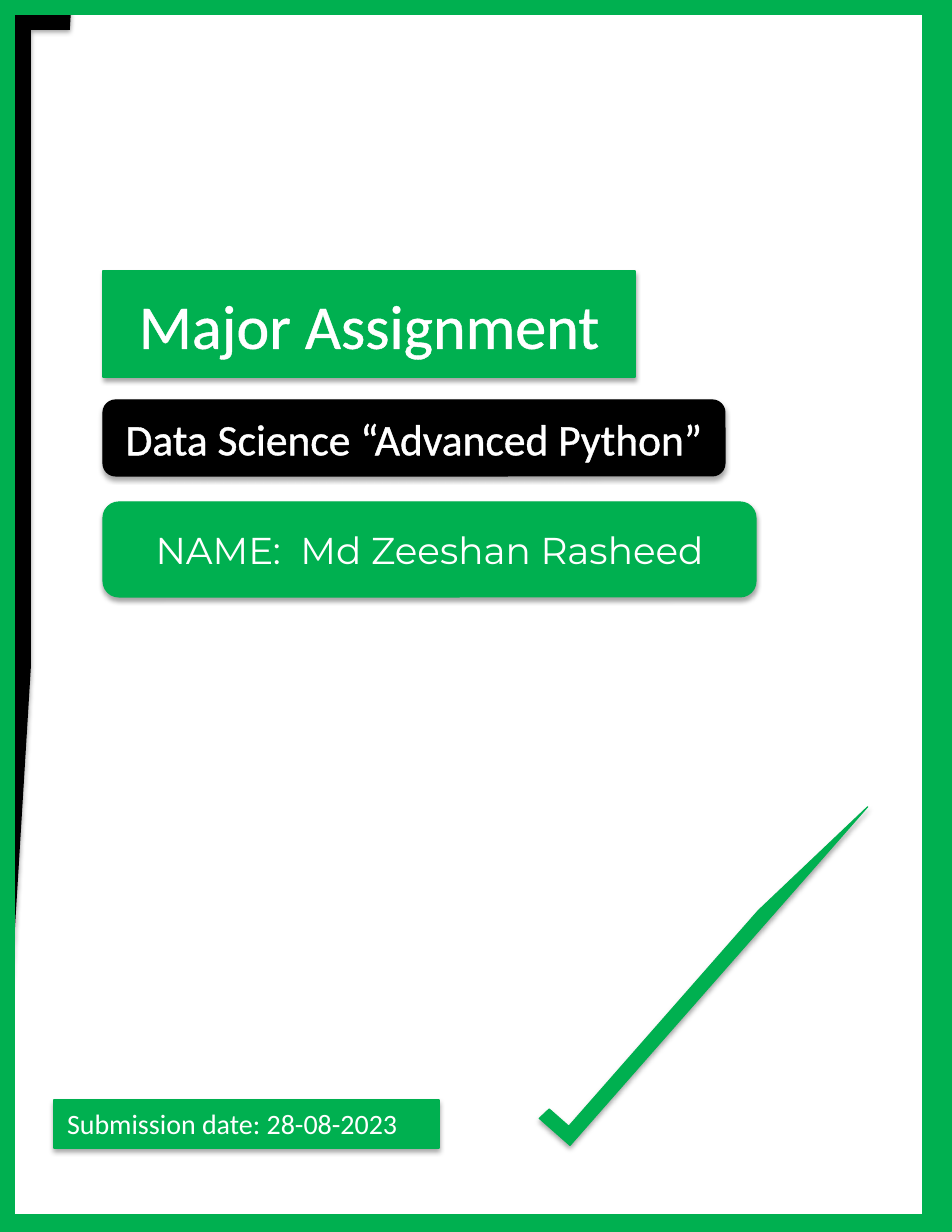
import dataclasses
import typing

import pptx
import pptx.dml.color
import pptx.enum.shapes
import pptx.enum.text
import pptx.oxml
import pptx.oxml.ns
import pptx.util

EMU_PER_PIXEL = 914400 / 112
GREEN = "00B050"
BLACK = "000000"
WHITE = "FFFFFF"
Preset = pptx.enum.shapes.MSO_SHAPE
Align = pptx.enum.text.PP_ALIGN
Anchor = pptx.enum.text.MSO_ANCHOR
AutoSize = pptx.enum.text.MSO_AUTO_SIZE


@dataclasses.dataclass(frozen=True)
class Label:
    text: str
    size: int
    font: str = "Calibri"
    outlined: bool = False
    centred: bool = True
    is_title: bool = False


@dataclasses.dataclass(frozen=True)
class Panel:
    preset: Preset
    left: int
    top: int
    width: int
    height: int
    fill: typing.Optional[str] = GREEN
    line: typing.Optional[str] = GREEN
    line_points: float = 0.75
    rotation: float = 0
    label: typing.Optional[Label] = None


PANELS = [
    Panel(Preset.ROUNDED_RECTANGLE, 103, 400, 622, 76, BLACK, BLACK,
          label=Label("Data Science “Advanced Python”", 28, outlined=True)),
    Panel(Preset.HALF_FRAME, 11, 10, 60, 983, BLACK, None),
    Panel(Preset.HALF_FRAME, 683, 737, 41, 451, rotation=221.3),
    Panel(Preset.ROUNDED_RECTANGLE, 103, 502, 653, 95,
          label=Label("NAME:  Md Zeeshan Rasheed", 24, "Montserrat")),
    Panel(Preset.ROUNDED_RECTANGLE, 103, 271, 532, 106,
          label=Label("Major Assignment", 40, outlined=True, is_title=True)),
    Panel(Preset.RECTANGLE, 54, 1100, 385, 48,
          label=Label("Submission date: 28-08-2023", 18, centred=False)),
    Panel(Preset.RECTANGLE, 0, 0, 937, 1229, None, GREEN, 19.5),
]


def pixels(count: int) -> int:
    return round(count * EMU_PER_PIXEL)


def colour(value: str) -> pptx.dml.color.RGBColor:
    return pptx.dml.color.RGBColor.from_string(value)


def outline_run(run, value: str, points: float) -> None:
    namespace = pptx.oxml.ns.nsdecls("a")
    width = round(points * 12700)
    outline = pptx.oxml.parse_xml(
        f'<a:ln {namespace} w="{width}"><a:solidFill>'
        f'<a:srgbClr val="{value}"/></a:solidFill></a:ln>'
    )
    run._r.get_or_add_rPr().insert(0, outline)


def write_label(shape, label: Label) -> None:
    frame = shape.text_frame
    frame.word_wrap = True
    frame.auto_size = AutoSize.NONE if label.centred else AutoSize.SHAPE_TO_FIT_TEXT
    frame.vertical_anchor = Anchor.MIDDLE if label.centred else Anchor.TOP
    frame.margin_left = frame.margin_right = pixels(13)
    frame.margin_top = frame.margin_bottom = pixels(7)
    paragraph = frame.paragraphs[0]
    paragraph.alignment = Align.CENTER if label.centred else Align.LEFT
    paragraph.font.name = label.font
    paragraph.font.size = pptx.util.Pt(label.size)
    paragraph.font.color.rgb = colour(WHITE)
    run = paragraph.add_run()
    run.text = label.text
    if label.outlined:
        outline_run(run, WHITE, 1.45)


def turn_into_title(slide, shape) -> None:
    title = slide.shapes.title._element
    shape._element.replace(shape._element.nvSpPr, title.nvSpPr)
    title.getparent().remove(title)


def draw_panel(slide, panel: Panel) -> None:
    bounds = map(pixels, (panel.left, panel.top, panel.width, panel.height))
    shape = slide.shapes.add_shape(panel.preset, *bounds)
    shape.rotation = panel.rotation
    if panel.fill:
        shape.fill.solid()
        shape.fill.fore_color.rgb = colour(panel.fill)
    else:
        shape.fill.background()
        shape.shadow.inherit = False
    if panel.line:
        shape.line.color.rgb = colour(panel.line)
        shape.line.width = pptx.util.Pt(panel.line_points)
    else:
        shape.line.fill.background()
    if panel.label:
        write_label(shape, panel.label)
        if panel.label.is_title:
            turn_into_title(slide, shape)


def main() -> None:
    presentation = pptx.Presentation()
    presentation.slide_width = pixels(952)
    presentation.slide_height = pixels(1232)
    slide = presentation.slides.add_slide(presentation.slide_layouts[5])
    for panel in PANELS:
        draw_panel(slide, panel)
    presentation.save("out.pptx")


main()
